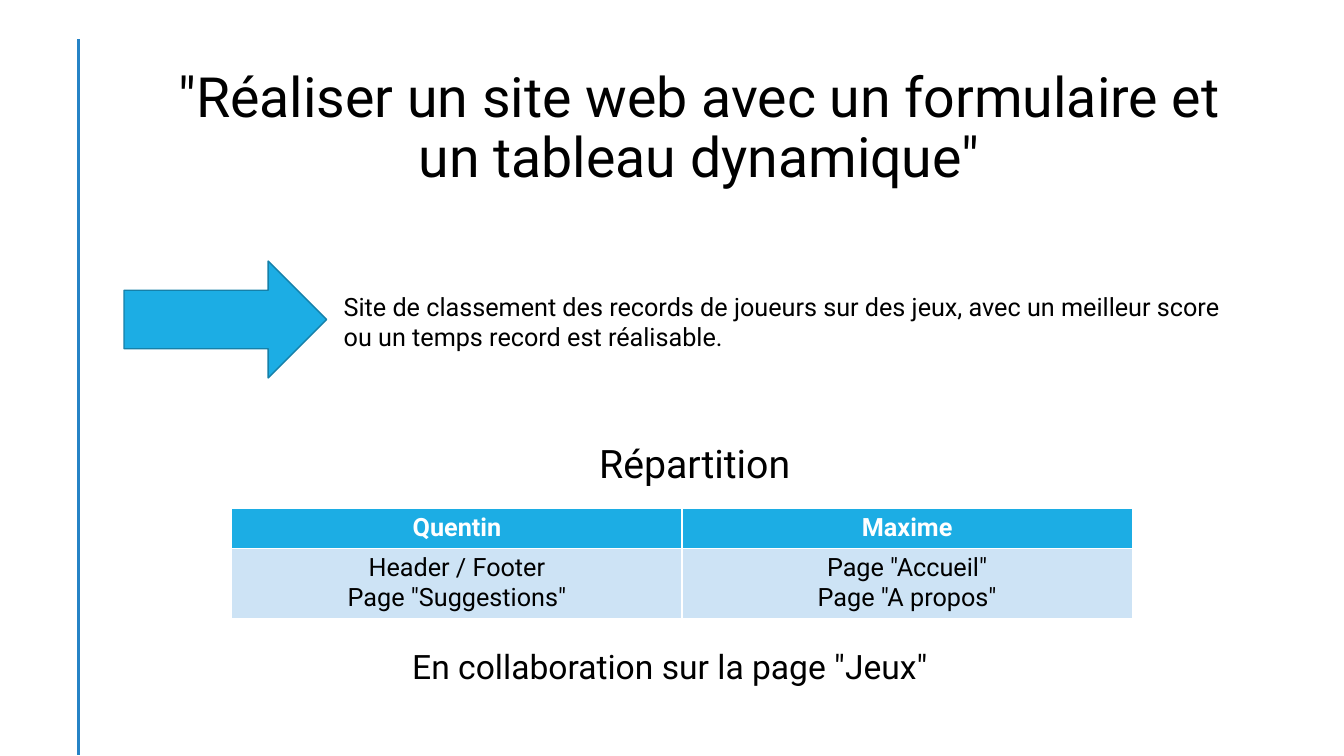
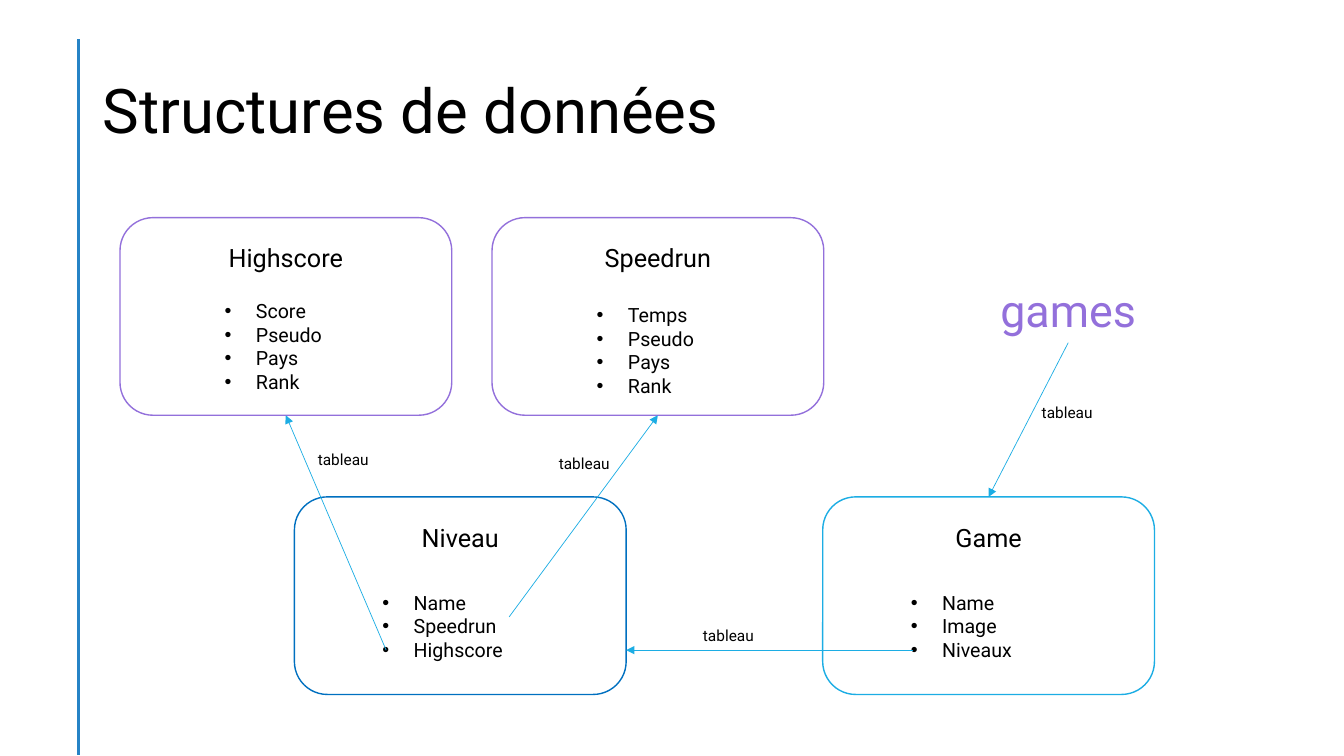
import pptx
import pptx.util
import pptx.dml.color
import pptx.enum.shapes
import pptx.enum.text
import pptx.oxml.ns
import lxml.etree

Inches = pptx.util.Inches
Pt = pptx.util.Pt
RGB = pptx.dml.color.RGBColor.from_string
qn = pptx.oxml.ns.qn
ALIGN = pptx.enum.text.PP_ALIGN
ANCHOR = pptx.enum.text.MSO_ANCHOR
SHAPE = pptx.enum.shapes.MSO_SHAPE
STRAIGHT = pptx.enum.shapes.MSO_CONNECTOR.STRAIGHT

COLORS = {
    "text": "000000",
    "white": "FFFFFF",
    "rule": "2683C6",
    "accent": "1CADE4",
    "outline": "1580A9",
    "row": "CDE3F5",
    "purple": "9370DB",
    "blue": "0070C0",
}
FONT = "Roboto"
INDENT = 0.31


def write(frame, lines, size, align=ALIGN.LEFT, color="text", bold=False, spacing=None, bullet=False):
    frame.word_wrap = True
    for index, line in enumerate(lines):
        para = frame.paragraphs[0] if index == 0 else frame.add_paragraph()
        para.alignment = align
        if spacing:
            para.line_spacing = spacing
        if bullet:
            properties = para._p.get_or_add_pPr()
            properties.set("marL", str(Inches(INDENT)))
            properties.set("indent", str(-Inches(INDENT)))
            lxml.etree.SubElement(properties, qn("a:buFont")).set("typeface", "Arial")
            lxml.etree.SubElement(properties, qn("a:buChar")).set("char", "•")
        span = para.add_run()
        span.text = line
        span.font.name = FONT
        span.font.size = Pt(size)
        span.font.bold = bold
        span.font.color.rgb = RGB(COLORS[color])


def add_line(page, start, end, color, width, arrow=False):
    line = page.shapes.add_connector(STRAIGHT, *(Inches(value) for value in start + end))
    line.line.color.rgb = RGB(COLORS[color])
    line.line.width = Pt(width)
    if arrow:
        lxml.etree.SubElement(line.line._get_or_add_ln(), qn("a:tailEnd")).set("type", "triangle")
    lxml.etree.SubElement(line.element.spPr, qn("a:effectLst"))
    return line


deck = pptx.Presentation()
deck.slide_width = Inches(13.33)
deck.slide_height = Inches(7.5)

titles = [
    ('"Réaliser un site web avec un formulaire et un tableau dynamique"',
     (1.64, 0.33, 10.59, 1.6), 39.6, ALIGN.CENTER, ANCHOR.BOTTOM),
    ("Structures de données", (0.92, 0.4, 11.5, 1.45), 44, ALIGN.LEFT, ANCHOR.MIDDLE),
]
pages = []
for text, area, size, align, anchor in titles:
    page = deck.slides.add_slide(deck.slide_layouts[5])
    title = page.shapes.title
    title.left, title.top, title.width, title.height = (Inches(value) for value in area)
    title.text_frame.auto_size = pptx.enum.text.MSO_AUTO_SIZE.NONE
    title.text_frame.vertical_anchor = anchor
    write(title.text_frame, [text], size, align, spacing=0.9)
    pages.append(page)
project, structures = pages

rule = add_line(project, (0.78, 0.39), (0.78, 7.49), "rule", 2)
deck.slide_master.shapes.element.append(rule.element)

arrow = project.shapes.add_shape(SHAPE.RIGHT_ARROW, Inches(1.23), Inches(2.59), Inches(2.01), Inches(1.16))
arrow.shadow.inherit = False
arrow.fill.solid()
arrow.fill.fore_color.rgb = RGB(COLORS["accent"])
arrow.line.color.rgb = RGB(COLORS["outline"])
arrow.line.width = Pt(1)

project_texts = [
    ("Site de classement des records de joueurs sur des jeux, avec un meilleur score "
     "ou un temps record est réalisable.", (3.31, 2.84, 9.09, 0.71), 18, ALIGN.LEFT),
    ("Répartition", (5.7, 4.31, 2.38, 0.57), 28, ALIGN.CENTER),
    ('En collaboration sur la page "Jeux"', (3.99, 6.36, 5.87, 0.5), 24, ALIGN.LEFT),
]
for text, area, size, align in project_texts:
    box = project.shapes.add_textbox(*(Inches(value) for value in area))
    write(box.text_frame, [text], size, align)

tasks = [
    ("Quentin", ["Header / Footer", 'Page "Suggestions"']),
    ("Maxime", ['Page "Accueil"', 'Page "A propos"']),
]
table = project.shapes.add_table(2, 2, Inches(2.3), Inches(5.04), Inches(8.93), Inches(1.1)).table
table.horz_banding = False
table.rows[0].height = Inches(0.4)
table.rows[1].height = Inches(0.7)
for column, (name, duties) in enumerate(tasks):
    cells = [(["%s" % name], "accent", "white", True), (duties, "row", "text", False)]
    for row, (lines, fill, color, bold) in enumerate(cells):
        cell = table.cell(row, column)
        cell.fill.solid()
        cell.fill.fore_color.rgb = RGB(COLORS[fill])
        write(cell.text_frame, lines, 18, ALIGN.CENTER, color, bold)

BOX_WIDTH, BOX_HEIGHT = 3.29, 1.96
HEADING_WIDTH = 2.48
entities = [
    ("Highscore", 1.19, 2.16, "purple", ["Score", "Pseudo", "Pays", "Rank"], 1.41, 0.76),
    ("Speedrun", 4.88, 2.16, "purple", ["Temps", "Pseudo", "Pays", "Rank"], 1.41, 0.8),
    ("Niveau", 2.92, 4.93, "blue", ["Name", "Speedrun", "Highscore"], 1.74, 0.88),
    ("Game", 8.16, 4.93, "accent", ["Name", "Image", "Niveaux"], 1.74, 0.88),
]
boxes = {}
for name, left, top, color, fields, list_width, list_offset in entities:
    box = structures.shapes.add_shape(
        SHAPE.ROUNDED_RECTANGLE, Inches(left), Inches(top), Inches(BOX_WIDTH), Inches(BOX_HEIGHT))
    box.shadow.inherit = False
    box.fill.background()
    box.line.color.rgb = RGB(COLORS[color])
    box.line.width = Pt(1)
    boxes[name] = box
    heading = structures.shapes.add_textbox(
        Inches(left + (BOX_WIDTH - HEADING_WIDTH) / 2), Inches(top + 0.2), Inches(HEADING_WIDTH), Inches(0.4))
    write(heading.text_frame, [name], 18, ALIGN.CENTER)
    field_list = structures.shapes.add_textbox(
        Inches(left + (BOX_WIDTH - list_width) / 2), Inches(top + list_offset),
        Inches(list_width), Inches(0.1 + 0.235 * len(fields)))
    write(field_list.text_frame, fields, 14, bullet=True)

games = structures.shapes.add_textbox(Inches(9.45), Inches(2.76), Inches(2.29), Inches(0.64))
write(games.text_frame, ["games"], 32, ALIGN.CENTER, "purple")

links = [
    ((5.05, 6.12), (6.52, 4.12), None, (boxes["Speedrun"], 2), (5.02, 4.46)),
    ((3.83, 6.45), (2.83, 4.12), None, (boxes["Highscore"], 2), (2.63, 4.42)),
    ((9.06, 6.45), (6.21, 6.45), None, None, (6.45, 6.16)),
    ((10.6, 3.4), (9.81, 4.93), (games, 2), (boxes["Game"], 0), (9.81, 3.95)),
]
for start, end, source, target, (left, top) in links:
    link = add_line(structures, start, end, "accent", 0.5, arrow=True)
    if source:
        link.begin_connect(*source)
    if target:
        link.end_connect(*target)
    label = structures.shapes.add_textbox(Inches(left), Inches(top), Inches(1.55), Inches(0.29))
    write(label.text_frame, ["tableau"], 11, ALIGN.CENTER)

deck.save("out.pptx")
